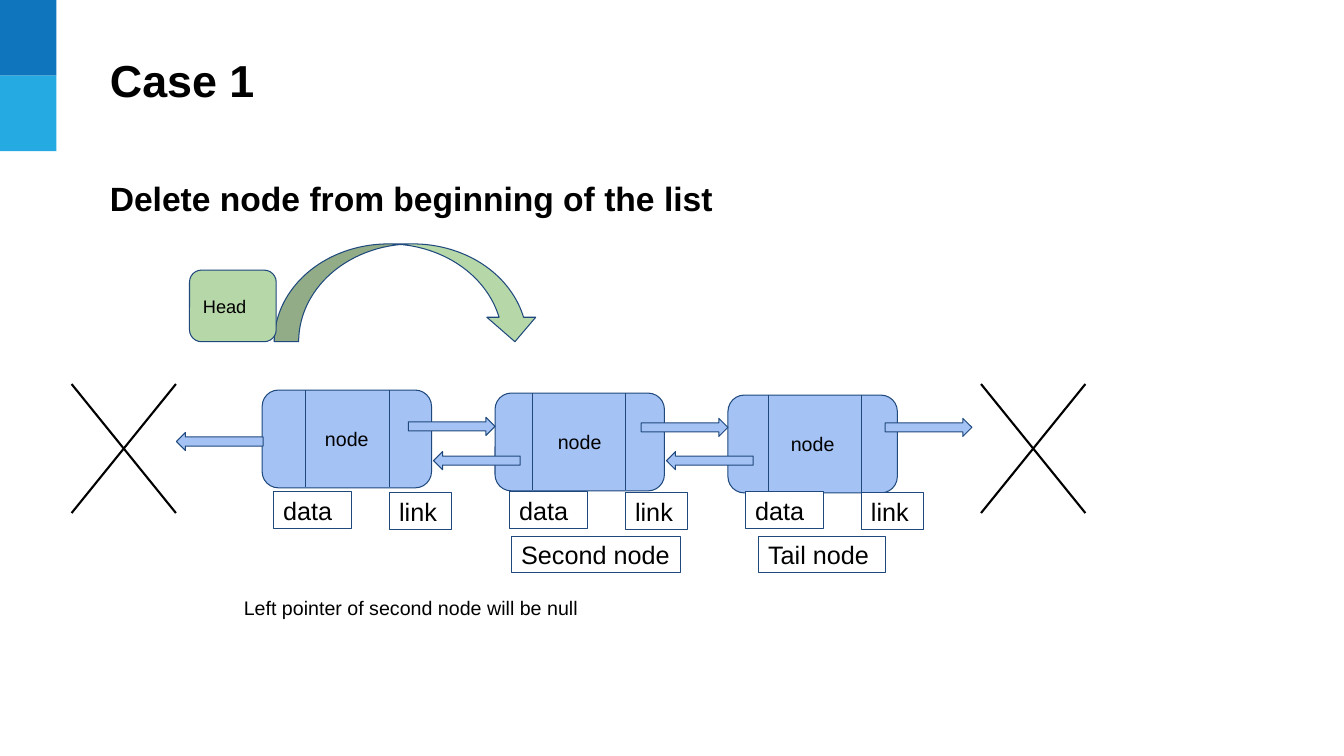
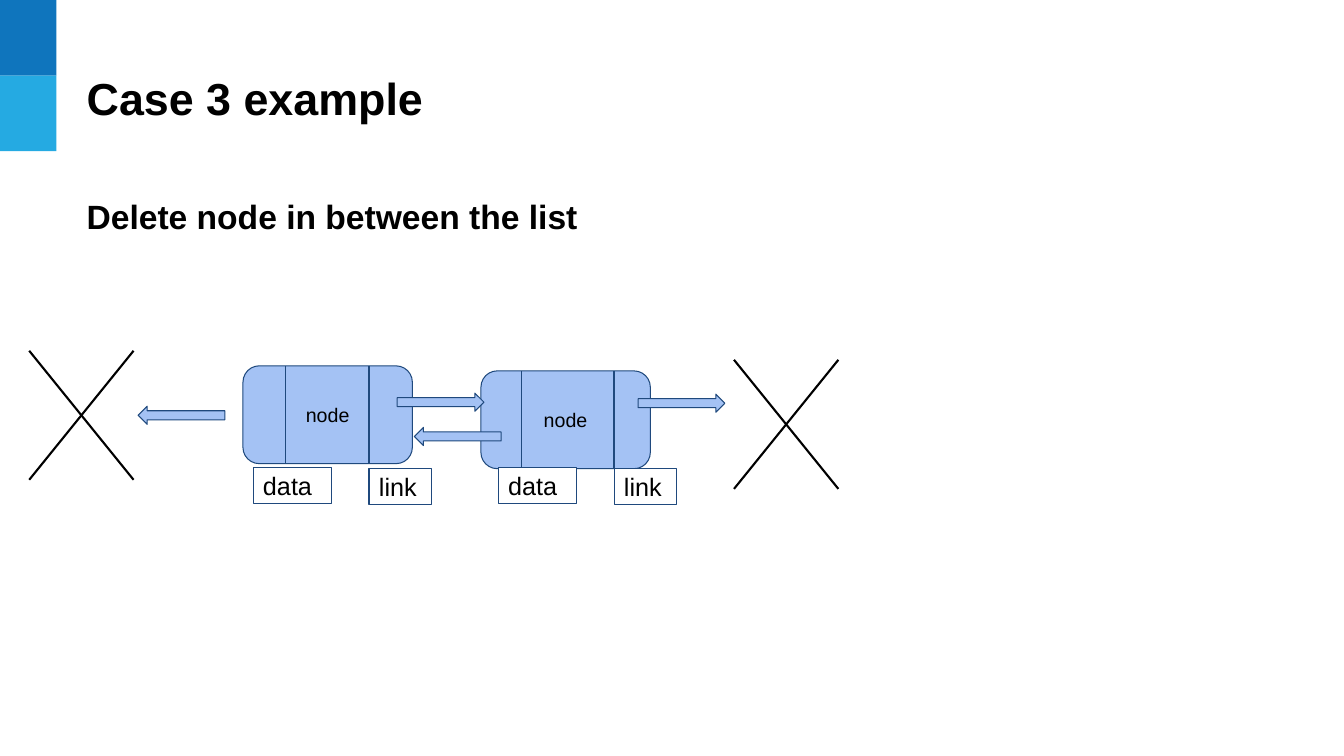
from dataclasses import dataclass
from typing import Any, Optional

from lxml.etree import SubElement
from pptx import Presentation
from pptx.dml.color import RGBColor as Rgb
from pptx.enum.shapes import MSO_CONNECTOR as Connector, MSO_SHAPE as Preset
from pptx.enum.text import MSO_ANCHOR as Anchor, MSO_AUTO_SIZE as AutoSize, PP_ALIGN as Align
from pptx.oxml.ns import qn
from pptx.util import Inches, Pt


@dataclass(frozen=True)
class Theme:
    font: str = "Arial"
    ink: str = "000000"
    paper: str = "FFFFFF"
    outline: str = "1F497D"
    node: str = "A4C2F4"
    head: str = "B6D7A8"
    bands: tuple[str, ...] = ("0F75BD", "25AAE2")
    title_size: float = 32
    subtitle_size: float = 24
    label_size: float = 18
    body_size: float = 14
    head_size: float = 13
    thin: float = 0.75
    thick: float = 1.5


THEME = Theme()

# All positions are columns and rows of a grid with ten cells to the inch
CELL = Inches(0.1)
NODE_W, NODE_H, DIVIDER_H = 16.8, 9.7, 9.6
ARROW_W, ARROW_H = 8.6, 1.8
CROSS_W, CROSS_H = 10.35, 12.8
LABEL_H, DATA_W, LINK_W = 3.6, 7.8, 6.2
DATA_TO_LINK = 11.5
BAND_W, BAND_H = 5.6, 7.5


@dataclass(frozen=True)
class Spot:
    col: float
    row: float


@dataclass(frozen=True)
class Node:
    col: float
    row: float
    data_edge: float  # column of the left divider
    link_edge: float  # column of the right divider


@dataclass(frozen=True)
class Label:
    text: str
    col: float
    row: float
    width: float


@dataclass(frozen=True)
class LinkedList:
    nodes: tuple[Node, ...]
    next_arrows: tuple[Spot, ...]
    previous_arrows: tuple[Spot, ...]
    null_crosses: tuple[Spot, ...]
    label_row: float
    names: tuple[Label, ...] = ()


@dataclass(frozen=True)
class Case:
    title: str
    subtitle: str
    heading: Spot
    chain: LinkedList


def cells(*lengths: float) -> list[int]:
    return [round(length * CELL) for length in lengths]


def write(box: Any, text: str, size: float, bold: bool = False,
          align: Align = Align.LEFT, anchor: Anchor = Anchor.MIDDLE,
          inset: float = 1) -> None:
    """Fill a box with one formatted paragraph."""
    frame = box.text_frame
    frame.text = text
    frame.word_wrap = True
    frame.auto_size = AutoSize.NONE
    frame.vertical_anchor = anchor
    frame.margin_left = frame.margin_right = CELL
    frame.margin_top, frame.margin_bottom = cells(inset, inset)
    line = frame.paragraphs[0]
    line.alignment = align
    line.font.name, line.font.size, line.font.bold = THEME.font, Pt(size), bold
    line.font.color.rgb = Rgb.from_string(THEME.ink)


def add_block(slide: Any, preset: Preset, col: float, row: float, width: float,
              height: float, fill: str, outline: Optional[str] = THEME.outline) -> Any:
    block = slide.shapes.add_shape(preset, *cells(col, row, width, height))
    block.shadow.inherit = False
    block.fill.solid()
    block.fill.fore_color.rgb = Rgb.from_string(fill)
    if outline:
        block.line.color.rgb = Rgb.from_string(outline)
        block.line.width = Pt(THEME.thin)
    else:
        block.line.fill.background()
    return block


def add_line(slide: Any, col: float, row: float, end_col: float, end_row: float,
             colour: str, weight: float) -> None:
    stroke = slide.shapes.add_connector(
        Connector.STRAIGHT, *cells(col, row, end_col, end_row))
    stroke.line.color.rgb = Rgb.from_string(colour)
    stroke.line.width = Pt(weight)
    SubElement(stroke.element.spPr, qn("a:effectLst"))


def add_text(slide: Any, text: str, col: float, row: float, width: float,
             height: float, size: float, bold: bool = False) -> None:
    box = slide.shapes.add_textbox(*cells(col, row, width, height))
    write(box, text, size, bold, anchor=Anchor.TOP)


def add_label(slide: Any, label: Label) -> None:
    tag = add_block(slide, Preset.RECTANGLE, label.col, label.row,
                    label.width, LABEL_H, THEME.paper)
    write(tag, label.text, THEME.label_size)


def add_node(slide: Any, node: Node) -> None:
    body = add_block(slide, Preset.ROUNDED_RECTANGLE, node.col, node.row,
                     NODE_W, NODE_H, THEME.node)
    write(body, "node", THEME.body_size, align=Align.CENTER)
    for edge in (node.data_edge, node.link_edge):
        add_line(slide, edge, node.row, edge, node.row + DIVIDER_H,
                 THEME.outline, THEME.thin)


def add_cross(slide: Any, spot: Spot) -> None:
    right, bottom = spot.col + CROSS_W, spot.row + CROSS_H
    for start, end in ((spot.row, bottom), (bottom, spot.row)):
        add_line(slide, right, start, spot.col, end, THEME.ink, THEME.thick)


def add_chain(slide: Any, chain: LinkedList) -> None:
    for node in chain.nodes:
        add_node(slide, node)
    # Pointers between nodes and to null
    for preset, spots in ((Preset.RIGHT_ARROW, chain.next_arrows),
                          (Preset.LEFT_ARROW, chain.previous_arrows)):
        for spot in spots:
            add_block(slide, preset, spot.col, spot.row, ARROW_W, ARROW_H, THEME.node)
    for spot in chain.null_crosses:
        add_cross(slide, spot)
    # Field labels under each node, then the node names
    for node in chain.nodes:
        add_label(slide, Label("link", node.link_edge, chain.label_row + 0.1, LINK_W))
        add_label(slide, Label("data", node.link_edge - DATA_TO_LINK,
                               chain.label_row, DATA_W))
    for name in chain.names:
        add_label(slide, name)


def add_case(deck: Any, layout: Any, case: Case) -> Any:
    slide = deck.slides.add_slide(layout)
    title, at = slide.shapes.title, case.heading
    title.left, title.top, title.width, title.height = cells(at.col, at.row, 87.5, 9)
    write(title, case.title, THEME.title_size, bold=True, inset=0.5)
    add_text(slide, case.subtitle, at.col, at.row + 13.2, 101.5, 6.1,
             THEME.subtitle_size, bold=True)
    add_chain(slide, case.chain)
    return slide


def add_bands(slide: Any, layout: Any) -> None:
    """Draw the corner bands and hand them to the shared layout."""
    for index, colour in enumerate(THEME.bands):
        band = add_block(slide, Preset.RECTANGLE, 0, index * BAND_H,
                         BAND_W, BAND_H, colour, outline=None)
        layout.shapes.element.append(band.element)


def add_head_move(slide: Any) -> None:
    """Head pointer jumping to the second node."""
    add_block(slide, Preset.CURVED_DOWN_ARROW, 27.2, 24.2, 26.3, 9.7, THEME.head)
    head = add_block(slide, Preset.ROUNDED_RECTANGLE, 18.8, 26.8, 8.6, 7.1, THEME.head)
    write(head, "Head", THEME.head_size)
    add_text(slide, "Left pointer of second node will be null",
             23.2, 58.1, 84.4, 4.4, THEME.body_size)


FIRST_CASE = Case(
    "Case 1", "Delete node from beginning of the list", Spot(9.9, 3.4),
    LinkedList(
        nodes=(Node(26, 38.7, 30.3, 38.6), Node(49.1, 39, 52.8, 62),
               Node(72.2, 39.2, 76.2, 85.4)),
        next_arrows=(Spot(40.5, 41.4), Spot(63.6, 41.5), Spot(87.8, 41.5)),
        previous_arrows=(Spot(17.5, 42.9), Spot(43, 44.8), Spot(66.1, 44.8)),
        null_crosses=(Spot(7.1, 38.1), Spot(97.3, 38.1)),
        label_row=48.8,
        names=(Label("Second node", 50.7, 53.2, 16.8),
               Label("Tail node", 75.2, 53.2, 12.6)),
    ),
)
THIRD_CASE = Case(
    "Case 3 example", "Delete node in between the list", Spot(7.6, 5.2),
    LinkedList(
        nodes=(Node(24.1, 36.3, 28.3, 36.6), Node(47.7, 36.8, 51.7, 60.9)),
        next_arrows=(Spot(39.4, 39), Spot(63.3, 39.1)),
        previous_arrows=(Spot(13.7, 40.3), Spot(41.1, 42.4)),
        null_crosses=(Spot(2.9, 34.8), Spot(72.8, 35.7)),
        label_row=46.4,
    ),
)


def main() -> None:
    deck = Presentation()
    deck.slide_width, deck.slide_height = Inches(13.33), Inches(7.5)
    title_only = deck.slide_layouts[5]
    first = add_case(deck, title_only, FIRST_CASE)
    add_bands(first, title_only)
    add_head_move(first)
    add_case(deck, title_only, THIRD_CASE)
    deck.save("out.pptx")


if __name__ == "__main__":
    main()
